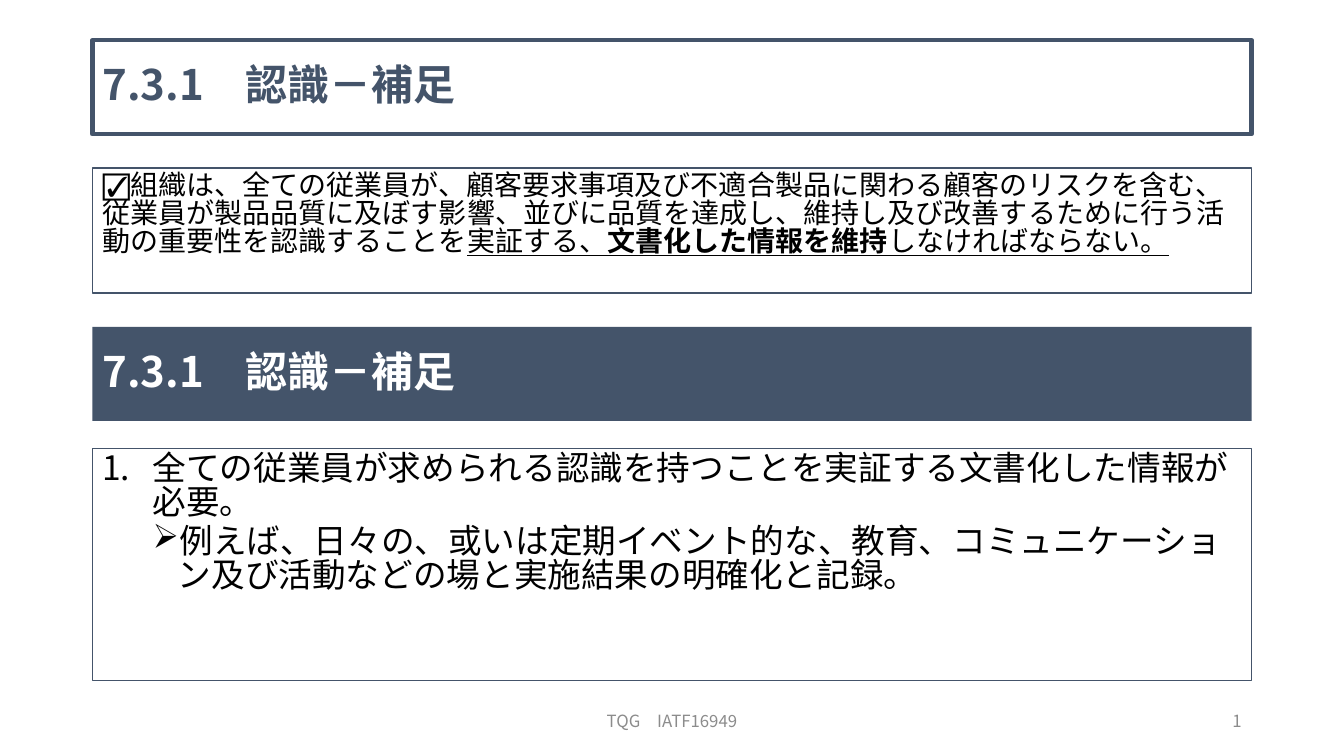
"""Build the slide on clause 7.3.1 on a grid of 160 columns by 90 rows."""
from dataclasses import dataclass, field

from pptx import Presentation
from pptx import util as u
from pptx.dml.color import RGBColor
from pptx.enum import shapes, text
from pptx.oxml.ns import qn
from lxml import etree

COLS, ROWS = 160, 90
LEFT, WIDTH = 11, 138
FONT = "Noto Sans CJK JP"
NAVY, BLACK, WHITE, GREY = "44546A", "000000", "FFFFFF", "8C8C8C"
HEADING = "7.3.1　認識－補足"


@dataclass
class Run:
    words: str
    bold: bool = False
    underline: bool = False


@dataclass
class Para:
    runs: list[Run]
    align: text.PP_ALIGN = text.PP_ALIGN.LEFT
    spacing: float = 1.0
    before: float = 0
    level: int = 0
    margin: float = 0
    hanging: float = 0
    bullet: tuple[str, str, str] | None = None


@dataclass
class Box:
    col: float
    row: float
    cols: float
    rows: float
    size: float
    color: str
    paras: list[Para] = field(default_factory=list)
    fill: str | None = None
    line: float = 0
    anchor: text.MSO_ANCHOR = text.MSO_ANCHOR.MIDDLE


def rgb(value: str) -> RGBColor:
    """Turn a hex string into a colour."""
    return RGBColor.from_string(value)


def add_para(p, para: Para, size: float, color: str) -> None:
    """Format one paragraph and add its runs."""
    p.alignment, p.line_spacing, p.level = para.align, para.spacing, para.level
    p.space_before = u.Pt(para.before)
    if para.bullet:
        tag, key, value = para.bullet
        ppr = p._p.get_or_add_pPr()
        ppr.set("marL", str(u.Inches(para.margin)))
        ppr.set("indent", str(u.Inches(-para.hanging)))
        etree.SubElement(ppr, qn(tag)).set(key, value)
    for run in para.runs:
        r = p.add_run()
        r.text = run.words
        r.font.name, r.font.size = FONT, u.Pt(size)
        r.font.bold, r.font.underline = run.bold, run.underline
        r.font.color.rgb = rgb(color)
        etree.SubElement(r.font._element, qn("a:ea")).set("typeface", FONT)


def add_box(prs, s, box: Box) -> None:
    """Draw a box, or a plain text box if it has neither fill nor line."""
    cw, rh = prs.slide_width / COLS, prs.slide_height / ROWS
    place = [round(v) for v in (box.col * cw, box.row * rh, box.cols * cw, box.rows * rh)]
    if box.fill or box.line:
        sp = s.shapes.add_shape(shapes.MSO_SHAPE.RECTANGLE, *place)
        sp.shadow.inherit = False
        if box.fill:
            sp.fill.solid()
            sp.fill.fore_color.rgb = rgb(box.fill)
        else:
            sp.fill.background()
        if box.line:
            sp.line.color.rgb = rgb(NAVY)
            sp.line.width = u.Pt(box.line)
        else:
            sp.line.fill.background()
    else:
        sp = s.shapes.add_textbox(*place)
    tf = sp.text_frame
    tf.word_wrap, tf.vertical_anchor = True, box.anchor
    for i, para in enumerate(box.paras):
        p = tf.add_paragraph() if i else tf.paragraphs[0]
        add_para(p, para, box.size, box.color)


def heading(row: float, color: str, fill: str, line: float = 0) -> Box:
    """Describe a heading bar."""
    paras = [Para([Run(HEADING, bold=True)], spacing=0.9)]
    return Box(LEFT, row, WIDTH, 11.2, 30, color, paras, fill, line)


def panel(row: float, rows: float, size: float, paras: list[Para]) -> Box:
    """Describe an outlined panel of body text."""
    return Box(LEFT, row, WIDTH, rows, size, BLACK, paras, None, 1, text.MSO_ANCHOR.TOP)


def footer(col: float, cols: float, words: str, align: text.PP_ALIGN) -> Box:
    """Describe a footer text."""
    return Box(col, 83.4, cols, 4.8, 12, GREY, [Para([Run(words)], align)])


REQUIREMENT = [Para([
    Run("☑組織は、全ての従業員が、顧客要求事項及び不適合製品に関わる顧客のリスクを含む、"
        "従業員が製品品質に及ぼす影響、並びに品質を達成し、維持し及び改善するために行う"
        "活動の重要性を認識することを"),
    Run("実証する、", underline=True),
    Run("文書化した情報を維持", bold=True, underline=True),
    Run("しなければならない。", underline=True),
], spacing=0.83)]

NOTES = [
    Para([Run("全ての従業員が求められる認識を持つことを実証する文書化した情報が必要。")],
         spacing=0.84, margin=0.5, hanging=0.5,
         bullet=("a:buAutoNum", "type", "arabicPeriod")),
    Para([Run("例えば、日々の、或いは定期イベント的な、教育、コミュニケーション"
              "及び活動などの場と実施結果の明確化と記録。")],
         spacing=0.84, before=4, level=1, margin=0.75, hanging=0.25,
         bullet=("a:buChar", "char", "➢")),
]

BOXES = [
    footer(53, 54, "TQG　IATF16949", text.PP_ALIGN.CENTER),
    footer(113, 36, "1", text.PP_ALIGN.RIGHT),
    panel(20, 14.9, 20, REQUIREMENT),
    heading(4.8, NAVY, WHITE, 3),
    heading(38.9, WHITE, NAVY),
    panel(53.4, 27.6, 24, NOTES),
]


def main() -> None:
    """Build and save the slide."""
    prs = Presentation()
    prs.slide_width, prs.slide_height = u.Inches(13.33), u.Inches(7.5)
    s = prs.slides.add_slide(prs.slide_layouts[6])
    for box in BOXES:
        add_box(prs, s, box)
    prs.save("out.pptx")


if __name__ == "__main__":
    main()
